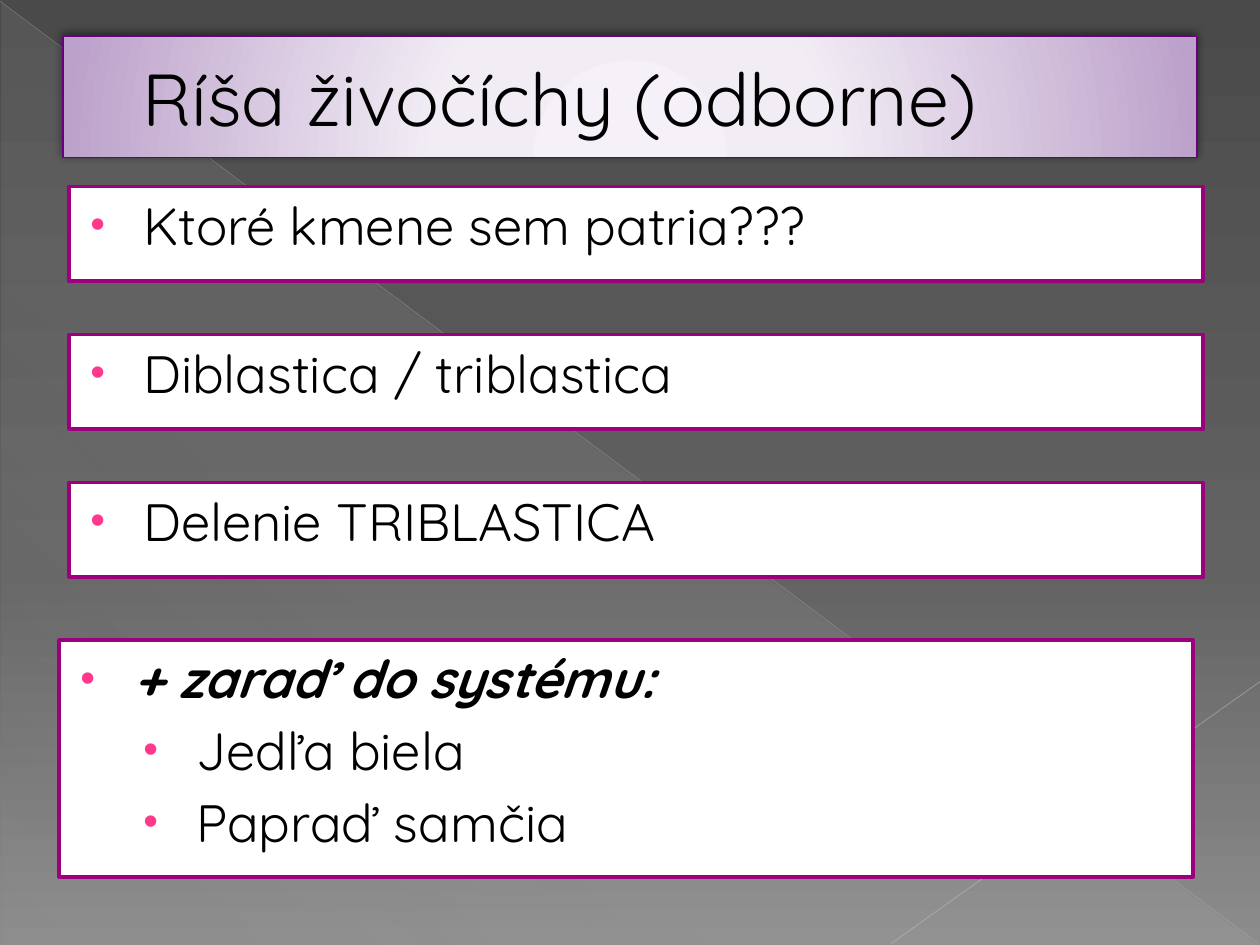
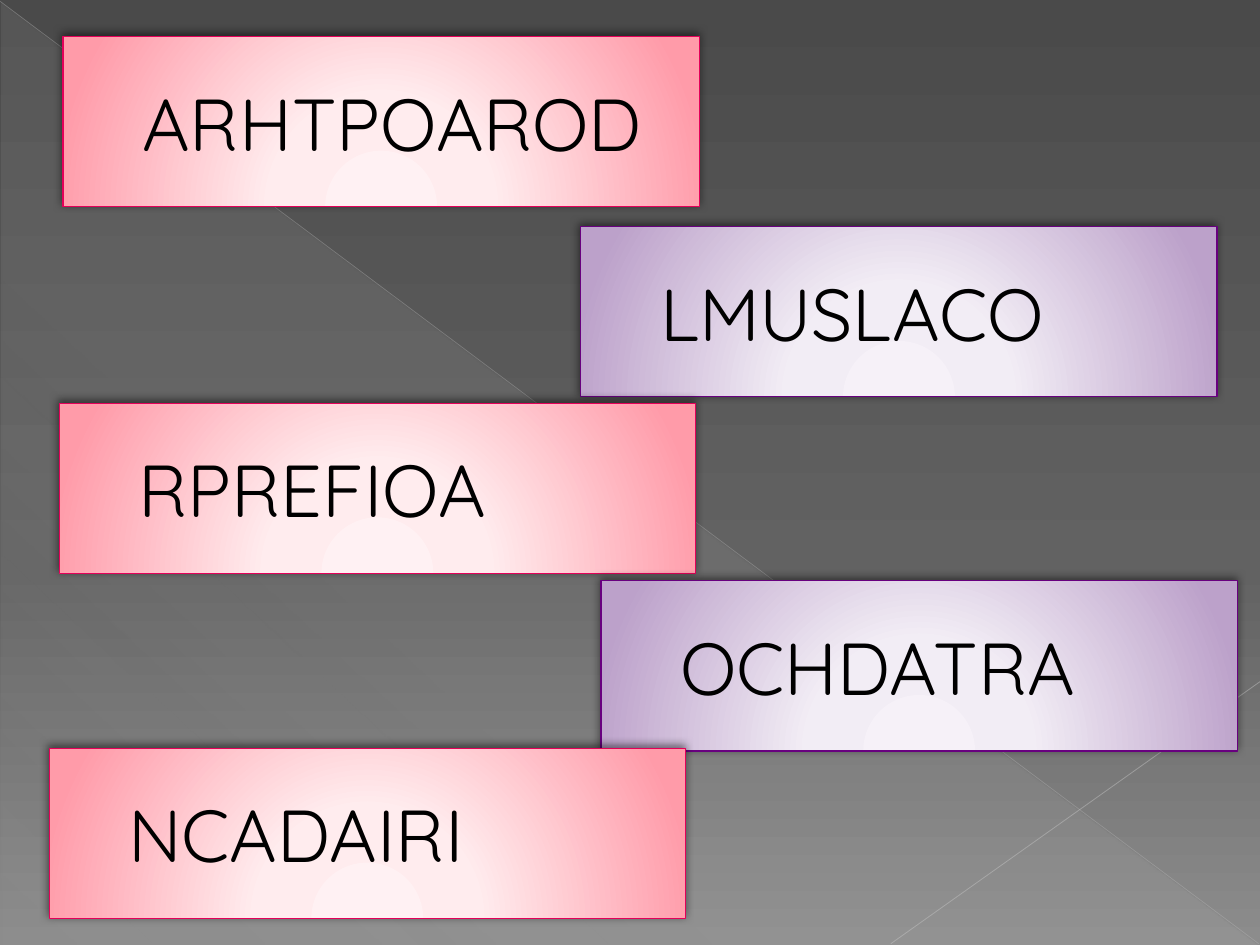
from dataclasses import dataclass
from typing import NamedTuple

from lxml import etree
from pptx import Presentation
from pptx.dml.color import RGBColor
from pptx.enum.shapes import MSO_CONNECTOR, MSO_SHAPE
from pptx.enum.text import MSO_ANCHOR, MSO_AUTO_SIZE, PP_ALIGN
from pptx.oxml.ns import qn
from pptx.util import Inches, Pt

RECTANGLE = MSO_SHAPE.RECTANGLE
RIGHT_TRIANGLE = MSO_SHAPE.RIGHT_TRIANGLE
STRAIGHT = MSO_CONNECTOR.STRAIGHT
TOP, MIDDLE = MSO_ANCHOR.TOP, MSO_ANCHOR.MIDDLE
LEFT = PP_ALIGN.LEFT
NO_AUTOFIT = MSO_AUTO_SIZE.NONE


class Stop(NamedTuple):
    position: int
    color: str
    opacity: int = 100


class Box(NamedTuple):
    left: float
    top: float
    width: float
    height: float


class BandStyle(NamedTuple):
    stops: tuple[Stop, ...]
    border: str


class Band(NamedTuple):
    text: str
    box: Box
    style: BandStyle


class Item(NamedTuple):
    text: str
    level: int = 0
    strong: bool = False


class Panel(NamedTuple):
    box: Box
    items: tuple[Item, ...]


class Ray(NamedTuple):
    start: tuple[float, float]
    end: tuple[float, float]
    color: str
    width: float
    opacity: int


@dataclass(frozen=True)
class Theme:
    font: str = "Quicksand"
    band_size: float = 42
    item_size: float = 30
    text: str = "000000"
    text_outline: str = "B12761"
    panel_fill: str = "FFFFFF"
    panel_border: str = "9C007F"
    bullet: str = "FF388C"
    shadow: str = "000000"
    background: tuple[Stop, ...] = (Stop(0, "4A4A4A"), Stop(60, "626262"), Stop(100, "8C8C8C"))
    sheen: tuple[Stop, ...] = (Stop(0, "D2D2D2", 10), Stop(70, "D2D2D2", 8), Stop(100, "D2D2D2", 1))
    violet: BandStyle = BandStyle(
        (Stop(0, "F6F1F8"), Stop(34, "F2EDF5"), Stop(100, "BCA1CA")), "68007F")
    pink: BandStyle = BandStyle(
        (Stop(0, "FFF1F3"), Stop(34, "FFECEE"), Stop(100, "FF9BA9")), "E40059")


THEME = Theme()
RAYS = (
    Ray((0, 0.01), (9.99, 7.49), "BFBFBF", 0.39, 35),
    Ray((10, 5.41), (7.07, 7.49), "C6C6C6", 0.47, 45),
)


def rgb(color: str) -> RGBColor:
    return RGBColor.from_string(color)


def add_node(parent, tag: str, **attributes):
    node = etree.SubElement(parent, qn(tag))
    for name, value in attributes.items():
        node.set(name, str(value))
    return node


def add_color(parent, color: str, opacity: int = 100) -> None:
    node = add_node(parent, "a:srgbClr", val=color)
    if opacity < 100:
        add_node(node, "a:alpha", val=opacity * 1000)


def set_gradient(owner, fill, stops: tuple[Stop, ...], angle: int | None = None) -> None:
    """Fill with a linear gradient, or with a glow from below when no angle is given."""
    fill.gradient()
    gradient = owner.element.find(".//" + qn("a:gradFill"))
    for child in list(gradient):
        gradient.remove(child)
    stop_list = add_node(gradient, "a:gsLst")
    for stop in stops:
        add_color(add_node(stop_list, "a:gs", pos=stop.position * 1000), stop.color, stop.opacity)
    if angle is None:
        glow = add_node(gradient, "a:path", path="circle")
        add_node(glow, "a:fillToRect", l=50000, t=155000, r=50000, b=-55000)
    else:
        add_node(gradient, "a:lin", ang=angle * 60000, scaled=0)


def add_box(slide, kind, box: Box):
    shape = slide.shapes.add_shape(kind, *map(Inches, box))
    shape.shadow.inherit = False
    return shape


def set_border(shape, color: str, width: float) -> None:
    shape.line.color.rgb = rgb(color)
    shape.line.width = Pt(width)


def set_frame(shape, anchor):
    frame = shape.text_frame
    frame.word_wrap = True
    frame.auto_size = NO_AUTOFIT
    frame.vertical_anchor = anchor
    return frame


def format_paragraph(paragraph, size: float, margin: float, indent: float = 0) -> None:
    paragraph.alignment = LEFT
    properties = paragraph.font  # makes sure that the paragraph properties exist
    properties.size = Pt(size)
    properties.name = THEME.font
    properties.color.rgb = rgb(THEME.text)
    node = paragraph._p.get_or_add_pPr()
    node.set("marL", str(Inches(margin)))
    node.set("indent", str(Inches(indent)))


def add_bullet(paragraph) -> None:
    properties = paragraph._p.get_or_add_pPr()
    add_color(add_node(properties, "a:buClr"), THEME.bullet)
    add_node(properties, "a:buSzPct", val=80000)
    add_node(properties, "a:buFont", typeface="Arial")
    add_node(properties, "a:buChar", char="•")


def outline_text(paragraph) -> None:
    outline = etree.Element(qn("a:ln"), w=str(Pt(0.5)))
    add_color(add_node(outline, "a:solidFill"), THEME.text_outline)
    paragraph._p.pPr.find(qn("a:defRPr")).insert(0, outline)


def style_band(shape, band: Band) -> None:
    set_gradient(shape, shape.fill, band.style.stops)
    set_border(shape, band.style.border, 0.75)
    shape.shadow.inherit = False
    effects = shape.element.spPr.find(qn("a:effectLst"))
    shadow = add_node(effects, "a:outerShdw", blurRad=Pt(5), dist=Pt(2),
                      dir=245 * 60000, rotWithShape=0)
    add_color(shadow, THEME.shadow, 50)
    frame = set_frame(shape, MIDDLE)
    frame.text = band.text
    paragraph = frame.paragraphs[0]
    format_paragraph(paragraph, THEME.band_size, 0.53)
    outline_text(paragraph)


def add_title_band(slide, band: Band) -> None:
    title = slide.shapes.title
    title.left, title.top, title.width, title.height = map(Inches, band.box)
    style_band(title, band)


def add_band(slide, band: Band) -> None:
    style_band(add_box(slide, RECTANGLE, band.box), band)


def add_panel(slide, panel: Panel) -> None:
    shape = add_box(slide, RECTANGLE, panel.box)
    shape.fill.solid()
    shape.fill.fore_color.rgb = rgb(THEME.panel_fill)
    set_border(shape, THEME.panel_border, 2)
    frame = set_frame(shape, TOP)
    for index, item in enumerate(panel.items):
        paragraph = frame.add_paragraph() if index else frame.paragraphs[0]
        paragraph.text = item.text
        paragraph.level = item.level
        paragraph.space_before = Pt(5 if index else 0)
        add_bullet(paragraph)
        format_paragraph(paragraph, THEME.item_size, 0.49 + 0.5 * item.level, -0.42)
        paragraph.font.bold = paragraph.font.italic = item.strong


def add_ray(slide, ray: Ray):
    connector = slide.shapes.add_connector(STRAIGHT, *map(Inches, ray.start + ray.end))
    set_border(connector, ray.color, ray.width)
    color = connector.element.spPr.find(".//" + qn("a:srgbClr"))
    add_node(color, "a:alpha", val=ray.opacity * 1000)
    add_node(connector.element.spPr, "a:effectLst")
    return connector


def decorate_master(master, slide) -> None:
    """Draw the shared backdrop on a slide, then move it behind everything on the master."""
    set_gradient(master, master.background.fill, THEME.background, 90)
    sheen = add_box(slide, RIGHT_TRIANGLE, Box(0.01, 0.02, 9.98, 7.48))
    set_gradient(sheen, sheen.fill, THEME.sheen, 133)
    sheen.line.fill.background()
    backdrop = [sheen] + [add_ray(slide, ray) for ray in RAYS]
    for index, shape in enumerate(backdrop):
        shape.element.find(".//" + qn("p:cNvPr")).set("id", str(100 + index))
        master.shapes.element.insert(2 + index, shape.element)


def build_questions(slide) -> None:
    add_title_band(slide, Band("Ríša živočíchy (odborne)", Box(0.5, 0.29, 9, 0.96), THEME.violet))
    questions = ("Ktoré kmene sem patria???", "Diblastica / triblastica", "Delenie TRIBLASTICA")
    for row, question in enumerate(questions):
        add_panel(slide, Panel(Box(0.55, 1.48 + row * 1.175, 9, 0.75), (Item(question),)))
    add_panel(slide, Panel(Box(0.47, 5.08, 9, 1.88), (
        Item("+ zaraď do systému:", strong=True),
        Item("Jedľa biela", level=1),
        Item("Papraď samčia", level=1),
    )))


def build_anagrams(slide) -> None:
    anagrams = (
        ("ARHTPOAROD", 0.5, 0.29),
        ("LMUSLACO", 4.61, 1.8),
        ("RPREFIOA", 0.47, 3.2),
        ("OCHDATRA", 4.77, 4.61),
        ("NCADAIRI", 0.39, 5.94),
    )
    for index, (word, left, top) in enumerate(anagrams):
        style = THEME.violet if index % 2 else THEME.pink
        band = Band(word, Box(left, top, 5.05, 1.35), style)
        if index:
            add_band(slide, band)
        else:
            add_title_band(slide, band)


def main() -> None:
    presentation = Presentation()
    presentation.slide_width, presentation.slide_height = Inches(10), Inches(7.5)
    title_only = presentation.slide_layouts[5]
    questions = presentation.slides.add_slide(title_only)
    decorate_master(presentation.slide_master, questions)
    build_questions(questions)
    build_anagrams(presentation.slides.add_slide(title_only))
    presentation.save("out.pptx")


if __name__ == "__main__":
    main()
